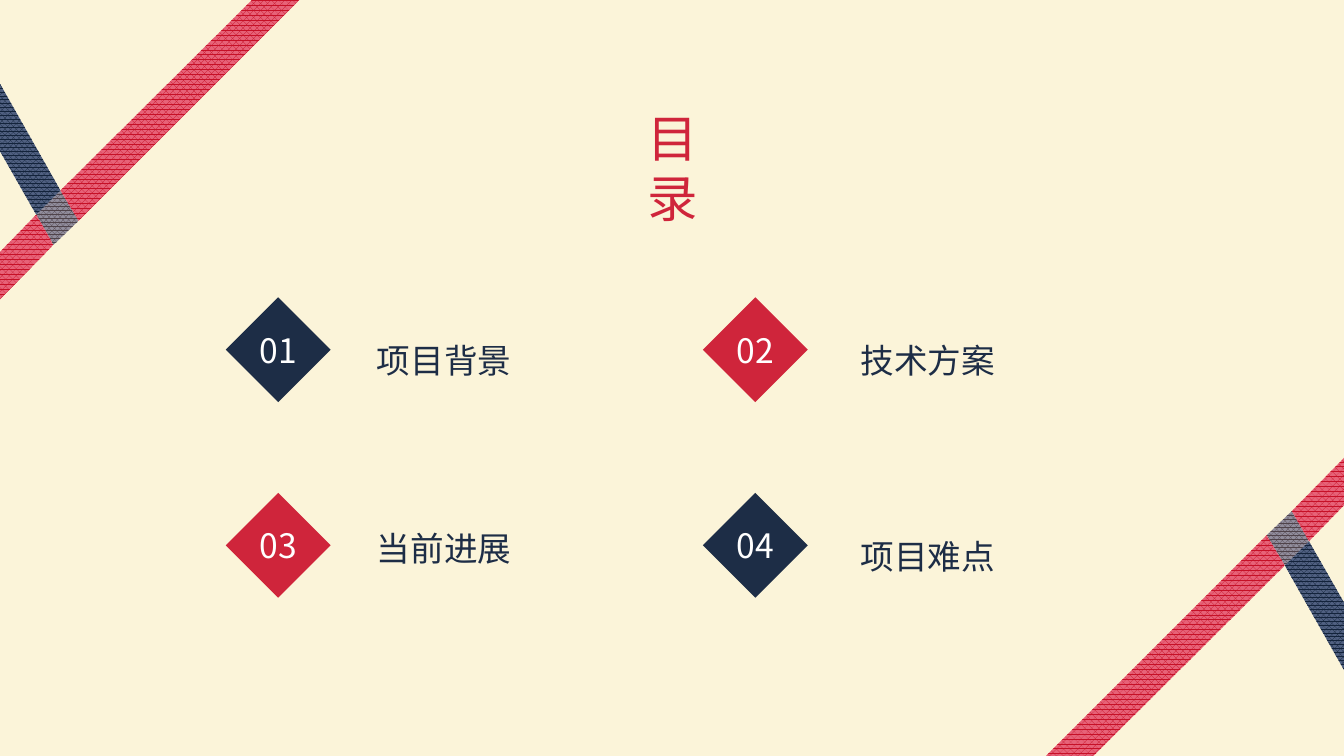
"""Agenda slide with four numbered diamonds and crossed ribbons in two corners."""
from pptx import Presentation
from pptx.dml.color import RGBColor
from pptx.enum.dml import MSO_PATTERN
from pptx.enum.shapes import MSO_SHAPE
from pptx.enum.text import MSO_ANCHOR, MSO_AUTO_SIZE, PP_ALIGN
from pptx.util import Inches, Pt
from lxml.etree import SubElement

FONT = "Noto Sans CJK SC"
RED, NAVY, WHITE, CREAM = "CF253B", "1D2D46", "FFFFFF", "FBF4D9"
rgb = RGBColor.from_string


def write(sp, text, size, color, anchor=MSO_ANCHOR.TOP, spacing=1.0):
    tf = sp.text_frame
    tf.word_wrap = False
    tf.vertical_anchor = anchor
    p = tf.paragraphs[0]
    p.alignment = PP_ALIGN.CENTER
    p.line_spacing = spacing
    r = p.add_run()
    r.text = text
    r.font.size = Pt(size)
    r.font.name = FONT
    r.font.color.rgb = rgb(color)
    ns = "{http://schemas.openxmlformats.org/drawingml/2006/main}"
    SubElement(r.font._element, ns + "ea", typeface=FONT)
    return tf


prs = Presentation()
prs.slide_width, prs.slide_height = Inches(13.33), Inches(7.5)
col, row = prs.slide_width / 100, prs.slide_height / 100
s = prs.slides.add_slide(prs.slide_layouts[5])
s.background.fill.solid()
s.background.fill.fore_color.rgb = rgb(CREAM)

title = s.shapes.title
title.left, title.top = int(45.53 * col), int(13.47 * row)
title.width, title.height = int(9 * col), int(9.47 * row)
write(title, "目录", 36, RED).auto_size = MSO_AUTO_SIZE.SHAPE_TO_FIT_TEXT

items = [("项目背景", NAVY, 41.6), ("技术方案", RED, 41.6),
         ("当前进展", RED, 66.53), ("项目难点", NAVY, 67.6)]
for i, (label, color, top) in enumerate(items):
    y, x = divmod(i, 2)
    sp = s.shapes.add_shape(MSO_SHAPE.DIAMOND, int((16.8 + 35.5 * x) * col),
                            int((39.33 + 25.87 * y) * row), int(7.8 * col), int(13.87 * row))
    sp.shadow.inherit = False
    sp.fill.solid()
    sp.fill.fore_color.rgb = rgb(color)
    sp.line.fill.background()
    tf = write(sp, f"{i + 1:02d}", 24, WHITE, MSO_ANCHOR.MIDDLE)
    tf.margin_left = tf.margin_right = tf.margin_top = tf.margin_bottom = 0
    box = s.shapes.add_textbox(int((27.3 + 36 * x) * col), int(top * row),
                               int(11.48 * col), int(9.47 * row))
    tf = write(box, label, 24, NAVY, spacing=1.5)
    tf.auto_size = MSO_AUTO_SIZE.SHAPE_TO_FIT_TEXT

inner_top, inner_left = (4.5, 25.2), (2.7, 28.4)
outer_left, outer_top = (3.98, 32.4), (5.85, 29.2)
overlap = (MSO_PATTERN.PERCENT_75, "4F434A", "918D9C")
red_weave = (MSO_PATTERN.PERCENT_70, "C61027", "E76278")
navy_weave = (MSO_PATTERN.PERCENT_75, "13233B", "506081")
ribbons = [
    (overlap, [inner_top, inner_left, outer_left, outer_top]),
    (red_weave, [(22.28, 0), (18.75, 0), inner_top, outer_top]),
    (navy_weave, [(0, 11.07), (0, 20), inner_left, inner_top]),
    (red_weave, [inner_left, (0, 33.33), (0, 39.6), outer_left]),
]
for turned in (False, True):
    for (pattern, fore, back), points in ribbons:
        if turned:
            points = [(100.1 - x, 100 - y) for x, y in points]
        points = [(x * col, y * row) for x, y in points]
        fb = s.shapes.build_freeform(*points[0])
        fb.add_line_segments(points[1:], close=True)
        sp = fb.convert_to_shape()
        sp.shadow.inherit = False
        sp.fill.patterned()
        sp.fill.pattern = pattern
        sp.fill.fore_color.rgb = rgb(fore)
        sp.fill.back_color.rgb = rgb(back)
        sp.line.fill.background()

prs.save("out.pptx")
